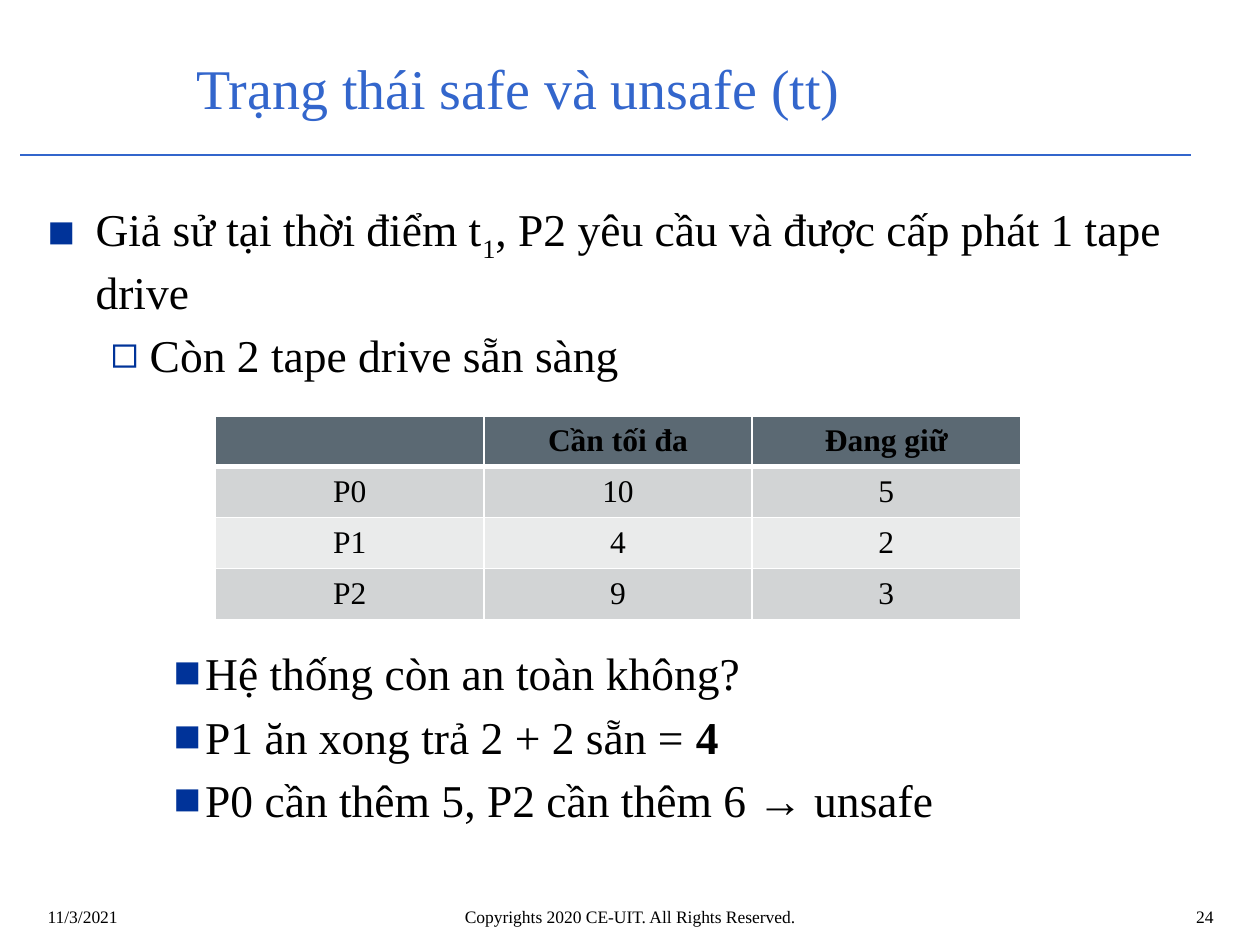
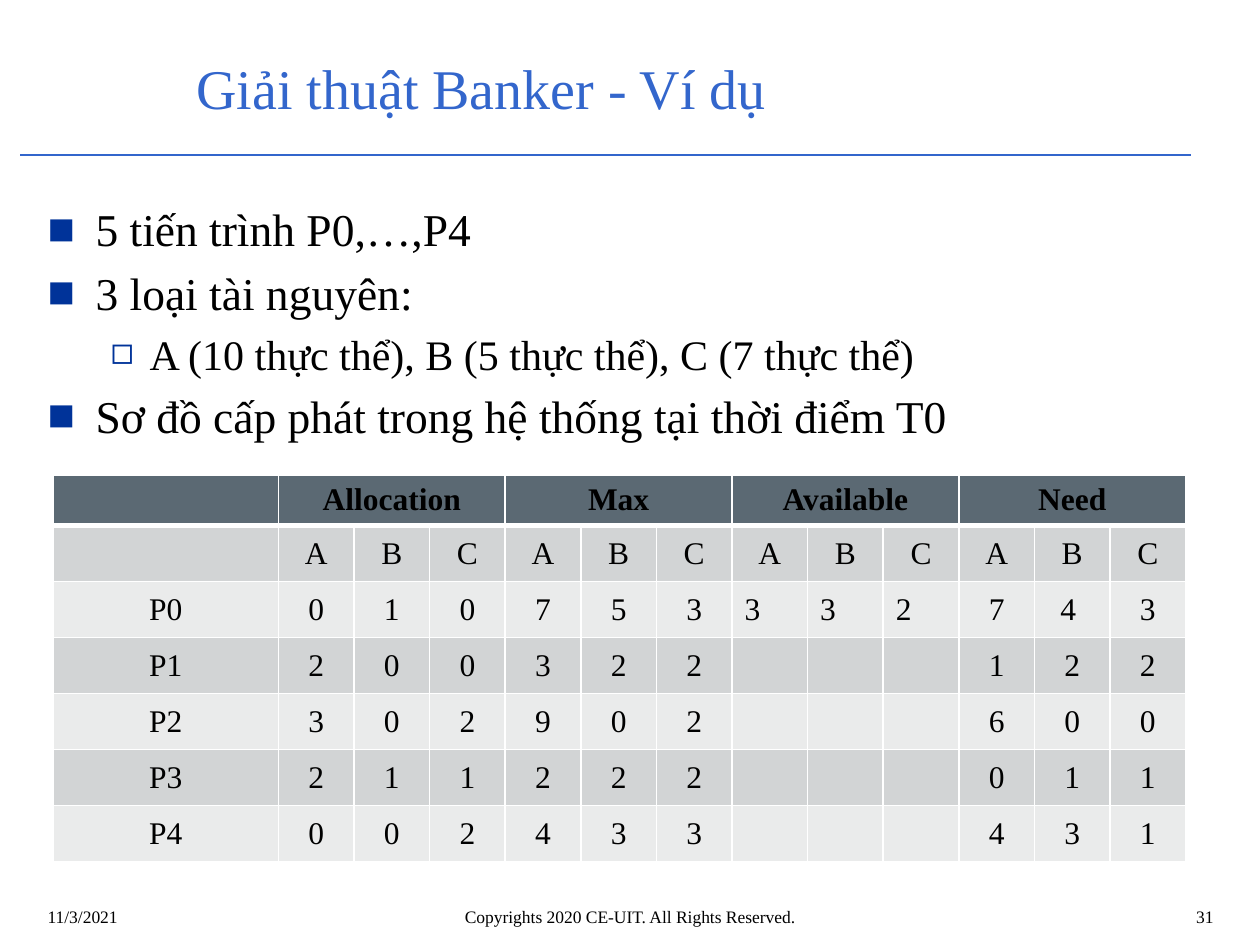
from dataclasses import dataclass

from lxml import etree
from pptx import Presentation
from pptx.dml.color import RGBColor
from pptx.enum.shapes import MSO_CONNECTOR
from pptx.enum.text import MSO_ANCHOR, PP_ALIGN
from pptx.oxml.ns import qn
from pptx.util import Inches, Pt

LEFT, MID, RIGHT = PP_ALIGN.LEFT, PP_ALIGN.CENTER, PP_ALIGN.RIGHT
TOP, CENTRE = MSO_ANCHOR.TOP, MSO_ANCHOR.MIDDLE
STRAIGHT = MSO_CONNECTOR.STRAIGHT


@dataclass(frozen=True)
class Theme:
    font: str = "Times New Roman"
    ink: str = "000000"
    blue: str = "3366CC"
    mark: str = "003399"
    head: str = "5B6973"
    dark: str = "D2D4D5"
    light: str = "EAEBEB"
    rule: str = "FFFFFF"
    title: int = 32
    body: int = 26
    small: int = 24
    cell: int = 18
    foot: int = 10


THEME = Theme()
LEVELS = [("■", 0.38, 0.38), ("◻", 0.81, 0.31), ("■", 1.25, 0.25)]


def node(root, tag, **attrs):
    item = etree.SubElement(root, qn(tag))
    for key, value in attrs.items():
        item.set(key, str(value))
    return item


def write(para, text, size=THEME.body, color=THEME.ink, bold=False, base=0, align=None):
    run = para.add_run()
    run.text = text
    font = run.font
    font.name, font.size, font.bold = THEME.font, Pt(size), bold
    font.color.rgb = RGBColor.from_string(color)
    if base:
        font._element.set("baseline", str(base * 1000))
    if align is not None:
        para.alignment = align


def bullet(para, level, scale):
    sign, left, hang = LEVELS[level]
    props = para._p.get_or_add_pPr()
    props.set("marL", str(Inches(left)))
    props.set("indent", str(-Inches(hang)))
    props.set("lvl", str(level))
    node(node(props, "a:spcBef"), "a:spcPct", val=20000)
    node(node(props, "a:buClr"), "a:srgbClr", val=THEME.mark)
    node(props, "a:buSzPct", val=scale * 1000)
    node(props, "a:buFont", typeface=THEME.font)
    node(props, "a:buChar", char=sign)


def edge(cell, tag, width):
    line = node(cell._tc.get_or_add_tcPr(), tag, w=Pt(width))
    node(node(line, "a:solidFill"), "a:srgbClr", val=THEME.rule)


class Deck:
    def __init__(self):
        self.file = Presentation()
        self.file.slide_width, self.file.slide_height = Inches(10), Inches(7.5)
        self.theme = THEME
        self.slide = None

    def page(self, title, number):
        look = self.theme
        self.slide = self.file.slides.add_slide(self.file.slide_layouts[6])
        self.line(0.16, 1.23, 9.45, 1.23)
        self.label(title, (1.46, 0.31, 8.04, 0.76), CENTRE, size=look.title, color=look.blue)
        feet = [
            ("11/3/2021", 0.28, 2.33, LEFT),
            ("Copyrights 2020 CE-UIT. All Rights Reserved.", 1.93, 6.14, MID),
            (str(number), 7.81, 1.92, RIGHT),
        ]
        for text, left, width, align in feet:
            self.label(text, (left, 7.14, width, 0.32), size=look.foot, align=align)

    def line(self, *ends):
        rule = self.slide.shapes.add_connector(STRAIGHT, *map(Inches, ends))
        rule.line.color.rgb = RGBColor.from_string(self.theme.blue)
        rule.line.width = Pt(0.75)
        node(rule._element.spPr, "a:effectLst")

    def frame(self, box, anchor=TOP):
        frame = self.slide.shapes.add_textbox(*map(Inches, box)).text_frame
        frame.word_wrap = True
        frame.vertical_anchor = anchor
        return frame

    def label(self, text, box, anchor=TOP, **style):
        write(self.frame(box, anchor).paragraphs[0], text, **style)

    def points(self, box, items, size=THEME.body, scale=100):
        frame = self.frame(box)
        for i, (level, *runs) in enumerate(items):
            para = frame.add_paragraph() if i else frame.paragraphs[0]
            bullet(para, level, scale if level == 1 else 100)
            for text, style in runs:
                write(para, text, **{"size": size if level == 1 else THEME.body, **style})

    def table(self, left, top, high, first, widths, rows, span=1, lefts=()):
        look = self.theme
        shape = self.slide.shapes.add_table(
            len(rows), len(widths), Inches(left), Inches(top), Inches(sum(widths)), Inches(high))
        grid = shape.table
        grid.first_row = grid.horz_banding = False
        for col, width in zip(grid.columns, widths):
            col.width = Inches(width)
        rest = (high - first) / (len(rows) - 1)
        for r, row in enumerate(rows):
            grid.rows[r].height = Inches(rest if r else first)
            shade = (look.dark if r % 2 else look.light) if r else look.head
            for c, text in enumerate(row):
                cell = grid.cell(r, c)
                cell.vertical_anchor = CENTRE
                for tag in ("a:lnL", "a:lnR", "a:lnT", "a:lnB"):
                    thick = (r, tag) in ((0, "a:lnB"), (1, "a:lnT"))
                    edge(cell, tag, 3 if thick else 1)
                cell.fill.solid()
                cell.fill.fore_color.rgb = RGBColor.from_string(shade)
                if text:
                    write(cell.text_frame.paragraphs[0], text, size=look.cell, bold=r == 0,
                          align=LEFT if (r, c) in lefts else MID)
        if span > 1:
            for c in range(1, len(widths), span):
                grid.cell(0, c).merge(grid.cell(0, c + span - 1))


def safety(deck):
    deck.page("Trạng thái safe và unsafe (tt)", 24)
    deck.points((0.28, 1.55, 9.45, 1.6), [
        (0, ("Giả sử tại thời điểm t", {}), ("1", {"base": -25}),
         (", P2 yêu cầu và được cấp phát 1 tape drive", {})),
        (1, ("Còn 2 tape drive sẵn sàng", {})),
    ])
    deck.points((0.28, 5.07, 9.45, 1.76), [
        (2, ("Hệ thống còn an toàn không?", {})),
        (2, ("P1 ăn xong trả 2 + 2 sẵn = ", {}), ("4", {"bold": True})),
        (2, ("P0 cần thêm 5, P2 cần thêm 6 → unsafe", {})),
    ])
    deck.table(1.71, 3.3, 1.62, 0.4, [2.13] * 3, [
        ["", "Cần tối đa", "Đang giữ"],
        ["P0", "10", "5"],
        ["P1", "4", "2"],
        ["P2", "9", "3"],
    ])


def banker(deck):
    deck.page("Giải thuật Banker - Ví dụ", 31)
    deck.points((0.28, 1.55, 9.45, 2.1), [
        (0, ("5 tiến trình P0,…,P4", {})),
        (0, ("3 loại tài nguyên:", {})),
        (1, ("A (10 thực thể), B (5 thực thể), C (7 thực thể)", {})),
        (0, ("Sơ đồ cấp phát trong hệ thống tại thời điểm T0", {})),
    ], size=THEME.small, scale=90)
    heads = [""]
    for name in ("Allocation", "Max", "Available", "Need"):
        heads += [name, "", ""]
    none = [""] * 3
    deck.table(0.42, 3.77, 3.07, 0.4, [1.79] + [0.6] * 12, [
        heads,
        ["", *"ABC" * 4],
        ["P0", *"010", *"753", *"332", "7", "4 ", "3"],
        ["P1", *"200", *"322", *none, *"122"],
        ["P2", *"302", *"902", *none, *"600"],
        ["P3", *"211", *"222", *none, *"011"],
        ["P4", *"002", *"433", *none, *"431"],
    ], span=3, lefts=[(2, c) for c in (7, 8, 9)])


def main():
    deck = Deck()
    safety(deck)
    banker(deck)
    deck.file.save("out.pptx")


if __name__ == "__main__":
    main()
